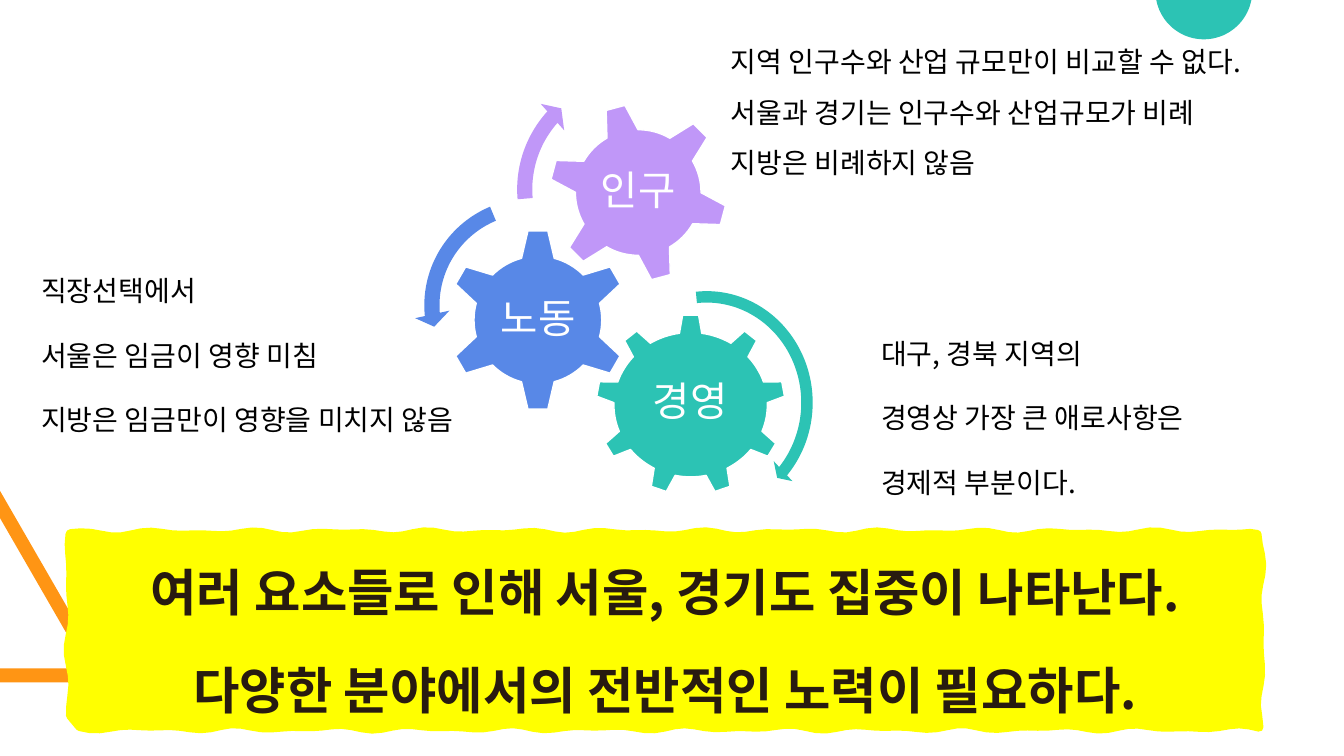
import math

from pptx import Presentation
from pptx.dml.color import RGBColor
from pptx.enum import shapes, text
from pptx.util import Inches, Pt

COLORS = {
    "teal": "2CC3B4",
    "blue": "5888E7",
    "purple": "C097F8",
    "orange": "FF9514",
    "yellow": "FFFF00",
    "brown": "281B10",
    "black": "000000",
    "white": "FFFFFF",
}
BODY_FONT = "Noto Sans CJK KR"
GEAR_FONT = "Calibri"
SHAPE = shapes.MSO_SHAPE

GEARS = [
    ("경영", SHAPE.GEAR_9, "teal", (5.91, 3.12, 1.88, 1.79), 0, (6.28, 3.54, 1.13, 0.92)),
    ("노동", SHAPE.GEAR_6, "blue", (4.43, 2.27, 1.81, 1.81), 0, (4.89, 2.73, 0.9, 0.9)),
    ("인구", SHAPE.GEAR_6, "purple", (5.44, 1.02, 1.78, 1.78), 345, (5.83, 1.41, 1, 1)),
]
ARROWS = [
    (SHAPE.CIRCULAR_ARROW, "teal", (5.88, 2.81, 2.26, 2.37),
     (0.05, 2.99, 25.15, 158.64, 0.06)),
    (SHAPE.LEFT_CIRCULAR_ARROW, "blue", (4.11, 1.87, 2.32, 2.32),
     (0.065, 4.3, 104.89, 148.38, 0.075)),
    (SHAPE.CIRCULAR_ARROW, "purple", (5.03, 0.63, 2.5, 2.5),
     (0.06, 3.94, 133.14, 105.08, 0.07)),
]
NOTES = [
    ((7.15, 0.23, 5.97, 1.76),
     ["지역 인구수와 산업 규모만이 비교할 수 없다.\v"
      "서울과 경기는 인구수와 산업규모가 비례\v"
      "지방은 비례하지 않음"]),
    ((8.64, 3.12, 4.06, 1.85),
     ["대구, 경북 지역의", "경영상 가장 큰 애로사항은", "경제적 부분이다."]),
    ((0.31, 2.5, 5.07, 1.95),
     ["직장선택에서", "서울은 임금이 영향 미침", "지방은 임금만이 영향을 미치지 않음"]),
]
CONCLUSION = [
    "여러 요소들로 인해 서울, 경기도 집중이 나타난다.",
    "다양한 분야에서의 전반적인 노력이 필요하다.",
]


def rgb(color):
    return RGBColor.from_string(COLORS[color])


def paint(shape, color, line=None, width=1):
    shape.shadow.inherit = False
    shape.fill.solid()
    shape.fill.fore_color.rgb = rgb(color)
    if line:
        shape.line.color.rgb = rgb(line)
        shape.line.width = Pt(width)
    else:
        shape.line.fill.background()


def write(frame, lines, size, color, spacing, font=BODY_FONT, bold=False,
          align=text.PP_ALIGN.LEFT, gap=10):
    frame.word_wrap = True
    for index, line in enumerate(lines):
        para = frame.paragraphs[0] if index == 0 else frame.add_paragraph()
        para.text = line
        para.alignment = align
        para.line_spacing = spacing
        para.space_before = Pt(gap if index else 0)
        para.font.name = font
        para.font.size = Pt(size)
        para.font.bold = bold
        para.font.color.rgb = rgb(color)


def add_outline(page, points, color, line=None, width=1):
    corners = [(Inches(x), Inches(y)) for x, y in points]
    builder = page.shapes.build_freeform(*corners[0], scale=1.0)
    builder.add_line_segments(corners[1:], close=True)
    outline = builder.convert_to_shape()
    paint(outline, color, line, width)
    return outline


def add_preset(group, kind, place, color, line=None, turn=0, adjust=()):
    preset = group.shapes.add_shape(kind, *map(Inches, place))
    preset.rotation = turn
    for index, value in enumerate(adjust):
        preset.adjustments[index] = value
    paint(preset, color, line)


def add_gear_label(group, label, place):
    box = group.shapes.add_textbox(*map(Inches, place))
    frame = box.text_frame
    frame.vertical_anchor = text.MSO_ANCHOR.MIDDLE
    frame.margin_left = frame.margin_right = Inches(0.04)
    frame.margin_top = frame.margin_bottom = Inches(0.04)
    write(frame, [label], 29, "white", 0.9, GEAR_FONT, align=text.PP_ALIGN.CENTER)


def add_note(page, place, lines):
    box = page.shapes.add_textbox(*map(Inches, place))
    write(box.text_frame, lines, 20, "black", 1.5)


def ripple(distance):
    return 0.015 * math.sin(7 * distance) + 0.012 * math.sin(11.3 * distance + 1)


def rough_rectangle(left, top, right, bottom, step=0.1):
    across = [left + step * i for i in range(round((right - left) / step))]
    down = [top + step * i for i in range(round((bottom - top) / step))]
    return (
        [(x, top + ripple(x)) for x in across]
        + [(right + ripple(y), y) for y in down]
        + [(x + right - across[-1], bottom + ripple(x + 2)) for x in reversed(across)]
        + [(left + ripple(y + 5), y) for y in reversed(down)]
    )


def arc(center_x, center_y, radius, start, end, steps=40):
    angles = [math.radians(start + (end - start) * i / steps) for i in range(steps + 1)]
    return [(center_x + radius * math.cos(a), center_y + radius * math.sin(a)) for a in angles]


def main():
    deck = Presentation()
    deck.slide_width, deck.slide_height = Inches(13.33), Inches(7.5)
    page = deck.slides.add_slide(deck.slide_layouts[6])

    triangle = [(0, 6.77), (0, 6.63), (0.86, 6.63), (0, 5.14), (0, 4.87), (1.05, 6.69), (1, 6.77)]
    add_outline(page, triangle, "orange")
    add_outline(page, arc(11.94, -0.09, 0.48, 11, 169), "teal")

    gears = page.shapes.add_group_shape()
    for label, kind, color, place, turn, label_place in GEARS:
        add_preset(gears, kind, place, color, "white", turn)
        add_gear_label(gears, label, label_place)
    for kind, color, place, adjust in ARROWS:
        add_preset(gears, kind, place, color, adjust=adjust)

    for place, lines in NOTES:
        add_note(page, place, lines)

    banner = add_outline(page, rough_rectangle(0.7, 5.3, 12.49, 7.21), "yellow", "yellow", 6)
    banner.text_frame.vertical_anchor = text.MSO_ANCHOR.TOP
    write(banner.text_frame, CONCLUSION, 36, "brown", 1.4, bold=True,
          align=text.PP_ALIGN.CENTER)

    deck.save("out.pptx")


if __name__ == "__main__":
    main()
